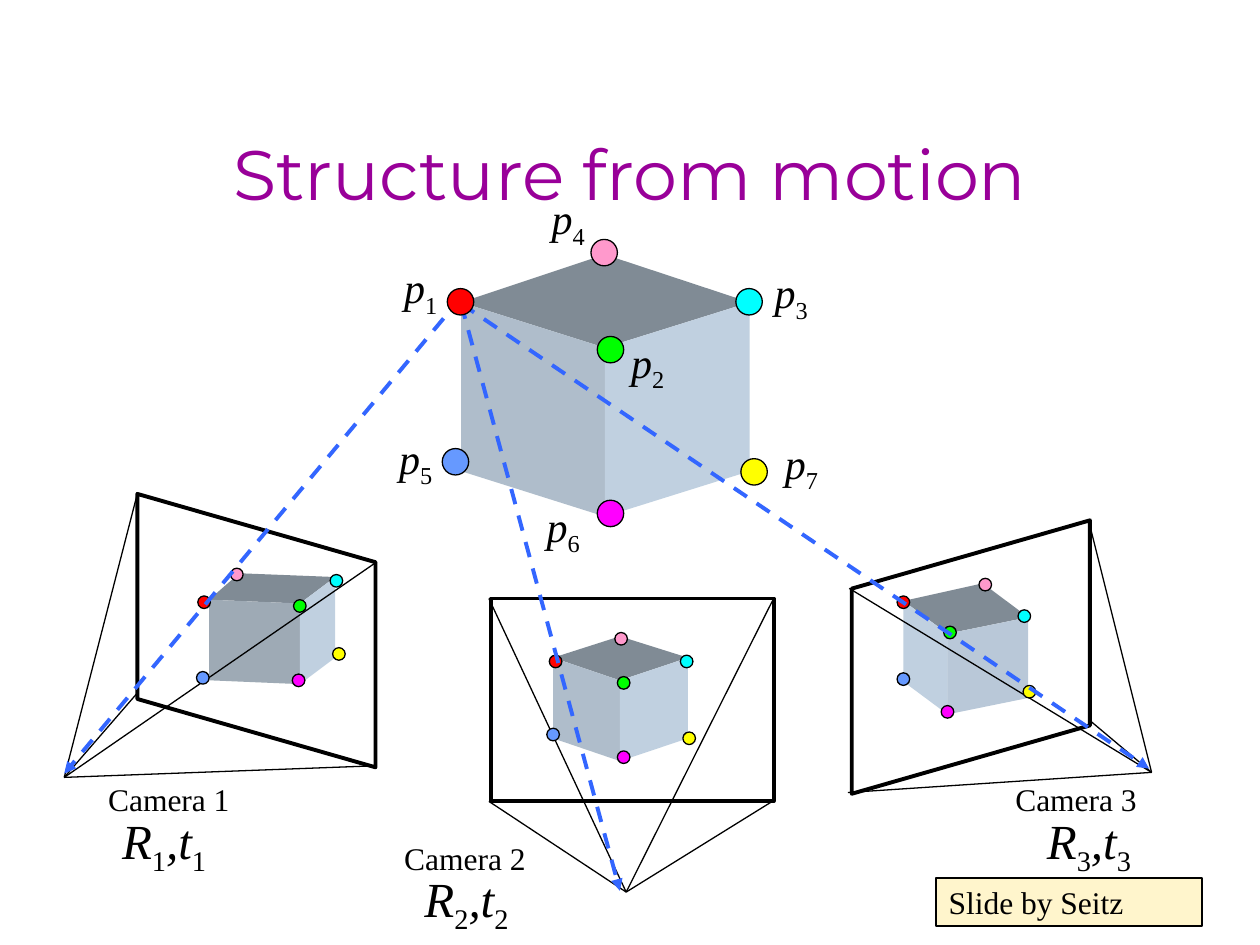
from lxml import etree
from pptx import Presentation
from pptx.dml.color import RGBColor
from pptx.enum.dml import MSO_LINE
from pptx.enum.shapes import MSO_CONNECTOR, MSO_SHAPE
from pptx.enum.text import MSO_ANCHOR, PP_ALIGN
from pptx.oxml.ns import qn
from pptx.util import Inches, Pt

RECT, OVAL, SKEW = MSO_SHAPE.RECTANGLE, MSO_SHAPE.OVAL, MSO_SHAPE.PARALLELOGRAM
STRAIGHT, DASH = MSO_CONNECTOR.STRAIGHT, MSO_LINE.DASH
BOTTOM, MIDDLE = MSO_ANCHOR.BOTTOM, MSO_ANCHOR.MIDDLE
CENTER, LEFT = PP_ALIGN.CENTER, PP_ALIGN.LEFT

BLACK = RGBColor(0x00, 0x00, 0x00)
PURPLE = RGBColor(0x99, 0x00, 0x99)
RAY = RGBColor(0x33, 0x66, 0xFF)
CREAM = RGBColor(0xFF, 0xF5, 0xCC)
ROOF = RGBColor(0x80, 0x8B, 0x95)
DARK = RGBColor(0x9E, 0xAA, 0xB5)
SHADE = RGBColor(0xAF, 0xBD, 0xCB)
MID = RGBColor(0xB9, 0xC8, 0xD8)
LIGHT = RGBColor(0xC0, 0xD0, 0xE0)
RED = RGBColor(0xFF, 0x01, 0x01)
GREEN = RGBColor(0x00, 0xFF, 0x00)
BLUE = RGBColor(0x66, 0x99, 0xFF)
PINK = RGBColor(0xFF, 0x99, 0xCC)
CYAN = RGBColor(0x00, 0xFF, 0xFF)
YELLOW = RGBColor(0xFF, 0xFF, 0x00)
MAGENTA = RGBColor(0xFF, 0x00, 0xFF)

SERIF = "Times New Roman"
POINTS = {1: RED, 2: GREEN, 5: BLUE, 6: MAGENTA, 7: YELLOW, 3: CYAN, 4: PINK}

CAMERAS = [
    dict(num=1, box=(0.5, 3.9), eye=(0.01, 2.27), frame=(0.45, 0.16, 2.17, 1.89), turn=90,
         ends=[(0.59, 0.02), (0.59, 1.6), (2.49, 0.56), (2.42, 2.18)],
         roof=[(1.16, 0.86), (1.4, 0.65), (2.16, 0.68), (1.88, 0.89)], walls=(DARK, LIGHT),
         dots=[(1.07, 0.83), (1.83, 0.86), (1.06, 1.43), (1.82, 1.45),
               (2.14, 1.24), (2.12, 0.66), (1.33, 0.61)],
         name=(0.26, 2.24), pose=(0.37, 2.48)),
    dict(num=2, box=(3.1, 4.7), eye=(1.87, 2.38), frame=(0.8, 0.05, 2.24, 1.61), turn=0,
         ends=[(0.78, 0.05), (3.03, 0.07), (0.78, 1.66), (3.03, 1.66)],
         roof=[(1.29, 0.52), (1.82, 0.35), (2.36, 0.52), (1.82, 0.7)], walls=(SHADE, LIGHT),
         dots=[(1.26, 0.5), (1.8, 0.67), (1.24, 1.08), (1.8, 1.26),
               (2.32, 1.11), (2.3, 0.5), (1.78, 0.32)],
         name=(0.01, 1.91), pose=(0.17, 2.14)),
    dict(num=3, box=(6.6, 4.1), eye=(2.54, 2.03), frame=(0.02, 0.17, 2.17, 1.89), turn=270,
         ends=[(0.14, 0.57), (0.13, 2.19), (2.04, 1.61), (2.04, 0.03)],
         roof=[(0.57, 0.67), (1.2, 0.53), (1.56, 0.8), (0.92, 0.93)], walls=(LIGHT, MID),
         dots=[(0.52, 0.63), (0.89, 0.87), (0.52, 1.24), (0.87, 1.5),
               (1.52, 1.34), (1.48, 0.74), (1.17, 0.49)],
         name=(1.36, 2.04), pose=(1.61, 2.28)),
]


def shift(box, spot):
    """Return a spot inside a box as slide lengths."""
    return Inches(box[0] + spot[0]), Inches(box[1] + spot[1])


def style(shape, fill=None, line=None, width=0.75):
    """Set fill and outline, with none where no colour is given."""
    shape.shadow.inherit = False
    if fill is None:
        shape.fill.background()
    else:
        shape.fill.solid()
        shape.fill.fore_color.rgb = fill
    if line is None:
        shape.line.fill.background()
    else:
        shape.line.color.rgb = line
        shape.line.width = Pt(width)


def font(item, size, color=BLACK, face=SERIF):
    """Format the font of a run or paragraph."""
    item.font.size = Pt(size)
    item.font.name = face
    item.font.color.rgb = color


def link(slide, start, end, color=BLACK, width=0.75):
    """Draw a straight line between two slide points."""
    line = slide.shapes.add_connector(STRAIGHT, *start, *end)
    line.line.color.rgb = color
    line.line.width = Pt(width)
    etree.SubElement(line.element.spPr, qn("a:effectLst"))
    return line


def ray(slide, start, end):
    """Draw a dashed arrow of sight."""
    line = link(slide, start, end, RAY, 2.25).line
    line.dash_style = DASH
    etree.SubElement(line._get_or_add_ln(), qn("a:tailEnd"), type="triangle")


def cube(slide, box, roof, drop, walls):
    """Draw the three visible faces of a cube from its roof corners."""
    west, back, east, front = roof
    faces = [(roof, ROOF)]
    for pair, color in zip([(west, front), (front, east)], walls):
        floor = [(x, y + drop) for x, y in reversed(pair)]
        faces.append(([*pair, *floor], color))
    for spots, color in faces:
        first, *rest = [shift(box, spot) for spot in spots]
        path = slide.shapes.build_freeform(*first)
        path.add_line_segments(rest)
        style(path.convert_to_shape(), color)


def dots(slide, box, spots, size):
    """Group the seven coloured feature points."""
    group = slide.shapes.add_group_shape()
    for spot, color in zip(spots, POINTS.values()):
        dot = group.shapes.add_shape(OVAL, *shift(box, spot), Inches(size), Inches(size))
        style(dot, color, BLACK)


def symbol(shapes, spot, size, parts, wide, high):
    """Write italic letters with upright subscripts in turn."""
    area = shapes.add_textbox(*spot, Inches(wide), Inches(high))
    area.text_frame.word_wrap = True
    para = area.text_frame.paragraphs[0]
    for i, part in enumerate(parts):
        run = para.add_run()
        run.text = part
        font(run, size)
        run.font.italic = i % 2 == 0
        if i % 2:
            run.font._element.set("baseline", "-25000")


def camera(slide, box, view):
    """Draw one camera with its image plane, cube view and labels."""
    cube(slide, box, view["roof"], 0.64, view["walls"])
    x, y, wide, high = view["frame"]
    turn = view["turn"]
    frame = slide.shapes.add_shape(SKEW if turn else RECT, *shift(box, (x, y)),
                                   Inches(wide), Inches(high))
    style(frame, None, BLACK, 2.25)
    if turn:
        frame.adjustments[0] = 0.287
        frame.rotation = turn
    if turn > 180:
        frame.element.spPr.xfrm.set("flipH", "1")
    for end in view["ends"]:
        link(slide, shift(box, end), shift(box, view["eye"]))
    dots(slide, box, view["dots"], 0.1)
    name = slide.shapes.add_textbox(*shift(box, view["name"]), Inches(1.3), Inches(0.4))
    name.text_frame.word_wrap = False
    name.text_frame.text = f"Camera {view['num']}"
    font(name.text_frame.paragraphs[0].runs[0], 18)
    num = str(view["num"])
    symbol(slide.shapes, shift(box, view["pose"]), 28, ["R", num, ",t", num], 0.98, 0.57)


def scene(slide, box):
    """Draw the cube in space, its labels and the rays from its first point."""
    cube(slide, box, [(0.66, 1), (1.8, 0.62), (2.95, 1), (1.8, 1.36)], 1.34, (SHADE, LIGHT))
    tags = slide.shapes.add_group_shape().shapes
    spots = [(0.11, 0.63), (1.91, 1.22), (0.07, 1.98), (1.24, 2.52),
             (3.13, 2.02), (3.05, 0.67), (1.28, 0.08)]
    for num, spot in zip(POINTS, spots):
        symbol(tags, shift(box, spot), 24, ["p", str(num)], 0.59, 0.5)
    for top, end in [(0.96, (-2.49, 4.74)), (1.01, (1.92, 5.67)), (1.01, (6.12, 4.7))]:
        ray(slide, shift(box, (0.66, top)), shift(box, end))
    dots(slide, box, [(0.55, 0.89), (1.74, 1.27), (0.51, 2.16), (1.74, 2.57),
                      (2.88, 2.24), (2.84, 0.89), (1.69, 0.5)], 0.21)


def heading(slide, x, y, wide, high):
    """Place and format the title."""
    title = slide.shapes.title
    title.left, title.top = Inches(x), Inches(y)
    title.width, title.height = Inches(wide), Inches(high)
    title.text_frame.text = "Structure from motion"
    title.text_frame.vertical_anchor = BOTTOM
    para = title.text_frame.paragraphs[0]
    para.alignment = CENTER
    font(para.runs[0], 40, PURPLE, "Montserrat")


def credit(slide, x, y, wide, high):
    """Draw the credit box."""
    note = slide.shapes.add_shape(RECT, Inches(x), Inches(y), Inches(wide), Inches(high))
    style(note, CREAM, BLACK, 1)
    note.text_frame.text = "Slide by Seitz"
    note.text_frame.vertical_anchor = MIDDLE
    para = note.text_frame.paragraphs[0]
    para.alignment = LEFT
    font(para.runs[0], 18)


def main():
    """Build and save the slide."""
    deck = Presentation()
    deck.slide_width, deck.slide_height = Inches(10), Inches(7.5)
    slide = deck.slides.add_slide(deck.slide_layouts[5])
    heading(slide, 0.75, 0.5, 8.5, 1.25)
    for view in CAMERAS:
        camera(slide, view["box"], view)
    scene(slide, (3, 1.4))
    credit(slide, 7.43, 6.97, 2.11, 0.38)
    deck.save("out.pptx")


if __name__ == "__main__":
    main()
